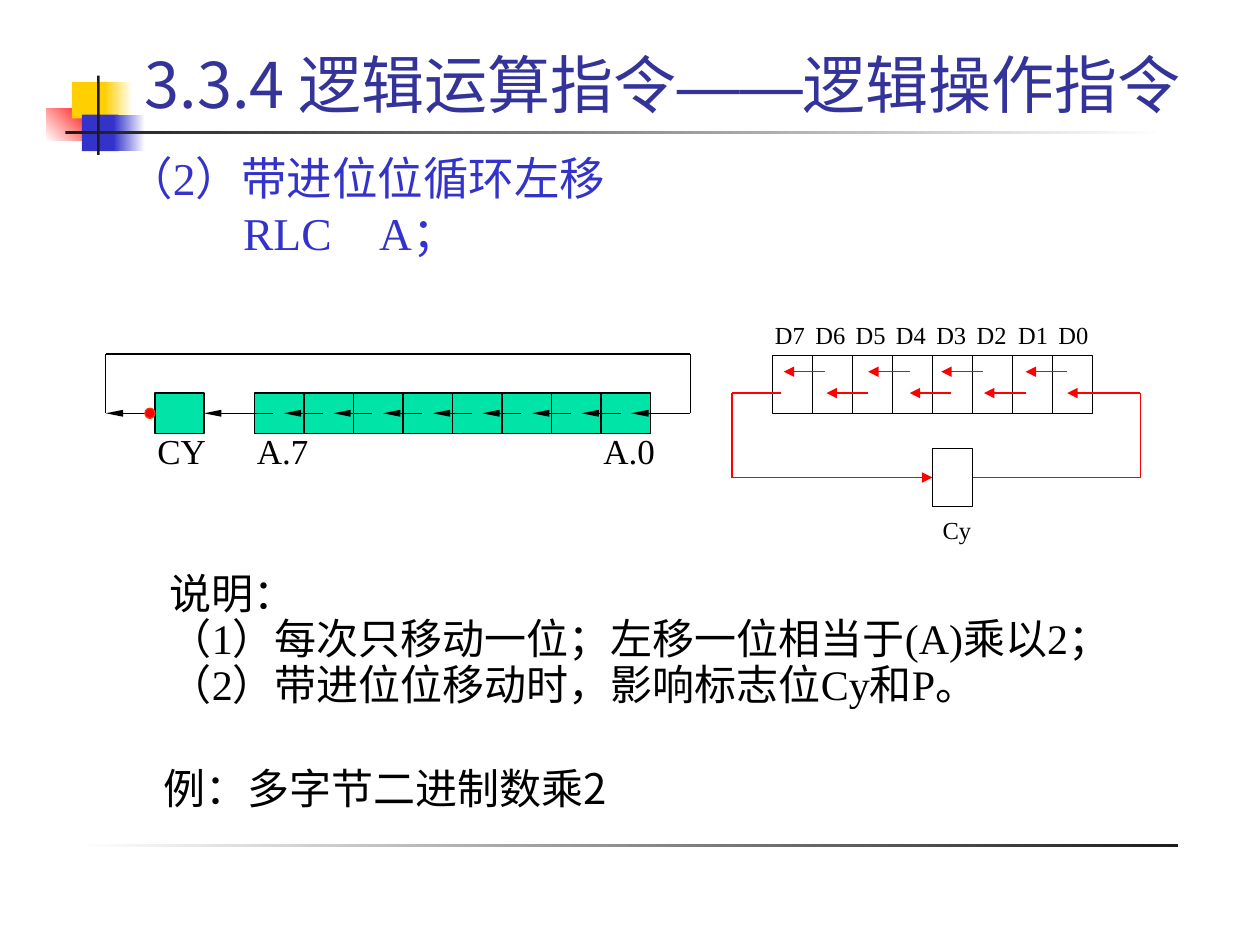
from dataclasses import dataclass
from itertools import pairwise

from pptx import Presentation
from pptx.dml.color import RGBColor
from pptx.enum.shapes import MSO_CONNECTOR, MSO_SHAPE
from pptx.enum.text import MSO_ANCHOR, MSO_AUTO_SIZE, PP_ALIGN
from pptx.oxml.ns import qn
from pptx.util import Pt
from lxml import etree

PX = 9144  # EMU per px, 100 px to the inch
RECT, OVAL = MSO_SHAPE.RECTANGLE, MSO_SHAPE.OVAL
STRAIGHT = MSO_CONNECTOR.STRAIGHT
LEFT, CENTER = PP_ALIGN.LEFT, PP_ALIGN.CENTER
TOP, MIDDLE = MSO_ANCHOR.TOP, MSO_ANCHOR.MIDDLE
NO_AUTOFIT = MSO_AUTO_SIZE.NONE
SIDE_LEFT, SIDE_RIGHT = 1, 3


@dataclass(frozen=True)
class Theme:
    title: str = "333399"
    blue: str = "3333CC"
    yellow: str = "FFCF01"
    red: str = "FF0000"
    dot_edge: str = "FF3300"
    green: str = "00E4A8"
    ink: str = "1C1C1C"
    black: str = "000000"
    white: str = "FFFFFF"
    title_size: int = 36
    body_size: int = 26
    note_size: int = 24
    label_size: int = 20
    bit_size: int = 14
    line: float = 0.75
    serif: str = "Times New Roman"
    dash: str = "Arial"
    title_font: str = "Noto Sans CJK JP"
    cjk: str = "Noto Sans CJK SC"


class SlideBuilder:
    def __init__(self, slide, theme):
        self.slide, self.theme = slide, theme

    def box(self, x, y, w, h, fill=None, line=None, kind=RECT, angle=0):
        """Draw a shape; a pair of colours as fill gives a gradient."""
        shape = self.slide.shapes.add_shape(kind, *(round(v * PX) for v in (x, y, w, h)))
        shape.shadow.inherit = False
        if fill is None:
            shape.fill.background()
        elif isinstance(fill, tuple):
            shape.fill.gradient()
            shape.fill.gradient_angle = angle
            for stop, color in zip(shape.fill.gradient_stops, fill):
                stop.color.rgb = RGBColor.from_string(color)
        else:
            shape.fill.solid()
            shape.fill.fore_color.rgb = RGBColor.from_string(fill)
        if line:
            shape.line.color.rgb = RGBColor.from_string(line)
            shape.line.width = Pt(self.theme.line)
        else:
            shape.line.fill.background()
        return shape

    def line(self, start, end, color, head=None, begin_at=None, end_at=None):
        """Draw a line; head is (width, length), begin_at and end_at are (shape, side)."""
        link = self.slide.shapes.add_connector(
            STRAIGHT, *(round(v * PX) for v in (*start, *end)))
        if begin_at:
            link.begin_connect(*begin_at)
        if end_at:
            link.end_connect(*end_at)
        link.line.color.rgb = RGBColor.from_string(color)
        link.line.width = Pt(self.theme.line)
        props = link._element.spPr
        if head:
            etree.SubElement(props.find(qn("a:ln")), qn("a:tailEnd"),
                             type="triangle", w=head[0], len=head[1])
        etree.SubElement(props, qn("a:effectLst"))

    def path_line(self, points, color):
        for start, end in pairwise(points):
            self.line(start, end, color)

    def fill_text(self, holder, at, paragraphs, size, color, wrap=True,
                  align=LEFT, anchor=TOP, spacing=1.0):
        """Fill a text holder; a paragraph is (margin, indent, tab, runs)."""
        holder.left, holder.top, holder.width, holder.height = (v * PX for v in at)
        frame = holder.text_frame
        frame.word_wrap, frame.auto_size = wrap, NO_AUTOFIT
        frame.vertical_anchor = anchor
        for number, (margin, indent, tab, runs) in enumerate(paragraphs):
            paragraph = frame.add_paragraph() if number else frame.paragraphs[0]
            props = paragraph._p.get_or_add_pPr()
            props.set("marL", str(margin * PX))
            props.set("indent", str(indent * PX))
            etree.SubElement(props, qn("a:buNone"))
            if tab:
                tabs = etree.SubElement(props, qn("a:tabLst"))
                etree.SubElement(tabs, qn("a:tab"), pos=str(tab * PX), algn="l")
            paragraph.alignment = align
            paragraph.line_spacing, paragraph.space_before = spacing, Pt(0)
            for words, latin, east_asian in runs:
                run = paragraph.add_run()
                run.text = words
                run.font.size, run.font.name = Pt(size), latin
                run.font.color.rgb = RGBColor.from_string(color)
                etree.SubElement(run._r.get_or_add_rPr(), qn("a:ea"), typeface=east_asian)

    def text(self, at, paragraphs, size, **style):
        holder = self.slide.shapes.add_textbox(*(v * PX for v in at))
        self.fill_text(holder, at, paragraphs, size, self.theme.black, **style)

    def label(self, at, words, size, **style):
        runs = [(words, self.theme.serif, self.theme.cjk)]
        self.text(at, [(0, 0, None, runs)], size, **style)


def add_decoration(page, t):
    page.box(37, 86, 38, 26, (t.white, t.red), angle=45)
    page.box(57, 65, 30, 29, t.yellow)
    page.box(83, 65, 22, 29, (t.yellow, t.white))
    page.box(65, 91, 29, 29, t.blue)
    page.box(90, 91, 25, 29, (t.blue, t.white))
    page.box(52, 104, 873, 2, (t.ink, t.white))
    page.box(77, 60, 2, 63, t.ink)
    page.box(62, 670, 873, 2, (t.white, t.ink))


def add_texts(page, t):
    def hanging(words, latin=t.serif):
        return 38, -38, None, [(words, latin, t.cjk)]

    title, body = page.slide.placeholders
    page.fill_text(title, (105, 35, 892, 62), [(0, 0, None, [
        ("3.3.4 逻辑运算指令", t.title_font, t.title_font),
        ("——", t.dash, t.dash),
        ("逻辑操作指令", t.title_font, t.title_font),
    ])], t.title_size, t.title, anchor=MIDDLE)
    page.fill_text(body, (91, 114, 842, 127), [
        hanging("（2）带进位位循环左移"),
        (0, 92, 196, [("RLC\tA；", t.serif, t.cjk)]),
    ], t.body_size, t.blue)
    page.text((125, 450, 850, 133), [
        hanging("说明："),
        hanging("（1）每次只移动一位；左移一位相当于(A)乘以2；"),
        hanging("（2）带进位位移动时，影响标志位Cy和P。"),
    ], t.note_size, spacing=0.9)
    page.text((120, 600, 850, 58), [hanging("例：多字节二进制数乘2", t.cjk)], t.note_size)


def add_bit_register(page, t):
    """Right diagram: bits D7 to D0 rotating through Cy."""
    left, top, cell, height = 613, 282, 31.75, 46
    upper, lower, carry_y = 295, 312, 379
    head = ("med", "med")
    for i in range(8):
        page.box(left + i * cell, top, cell, height, line=t.black)
        page.label((605 + round(i * 32.1), 249, 44, 33), f"D{7 - i}", t.bit_size,
                   wrap=False, align=CENTER)
    carry = page.box(740, 356, 32, height, line=t.black)
    page.label((738, 404, 43, 33), "Cy", t.bit_size, wrap=False, align=CENTER)

    for i, x in enumerate((655, 689, 722, 755, 780, 814, 847)):
        y = lower if i % 2 else upper
        page.line((x, y), (x - 33, y), t.red, head)
    page.line((905, lower), (847, lower), t.red, head)
    page.path_line([(620, lower), (581, lower), (581, carry_y)], t.red)
    page.line((581, carry_y), (740, carry_y), t.red, head, end_at=(carry, SIDE_LEFT))
    page.line((772, carry_y), (905, carry_y), t.red, begin_at=(carry, SIDE_RIGHT))
    page.line((905, carry_y), (905, lower), t.red)


def add_accumulator(page, t):
    """Left diagram: A.7 to A.0 rotating through CY."""
    left, top, cell, height = 202, 312, 39.3, 32
    middle, loop_top = top + height // 2, 281
    head = ("sm", "lg")
    for i in range(8):
        page.box(left + i * cell, top, cell, height, t.green, t.black)
    carry = page.box(123, top, 39, height, t.green, t.black)

    for i in range(8):
        x = 532 - i * 39.4
        page.line((x, middle), (x - 31, middle), t.black, head)
    page.line((217, middle), (162, middle), t.black, head, end_at=(carry, SIDE_RIGHT))
    page.line((123, middle), (84, middle), t.black, head, begin_at=(carry, SIDE_LEFT))
    page.path_line([(84, middle), (84, loop_top), (548, loop_top),
                    (548, middle), (532, middle)], t.black)
    page.box(115, middle - 4, 8, 8, t.red, t.dot_edge, OVAL)
    for x, words in ((469, "A.0"), (194, "A.7"), (115, "CY")):
        page.label((x, 336, 63, 44), words, t.label_size)


def main():
    deck = Presentation()
    deck.slide_width, deck.slide_height = 1000 * PX, 750 * PX
    theme = Theme()
    page = SlideBuilder(deck.slides.add_slide(deck.slide_layouts[1]), theme)
    for add_part in (add_decoration, add_texts, add_bit_register, add_accumulator):
        add_part(page, theme)
    deck.save("out.pptx")


if __name__ == "__main__":
    main()
